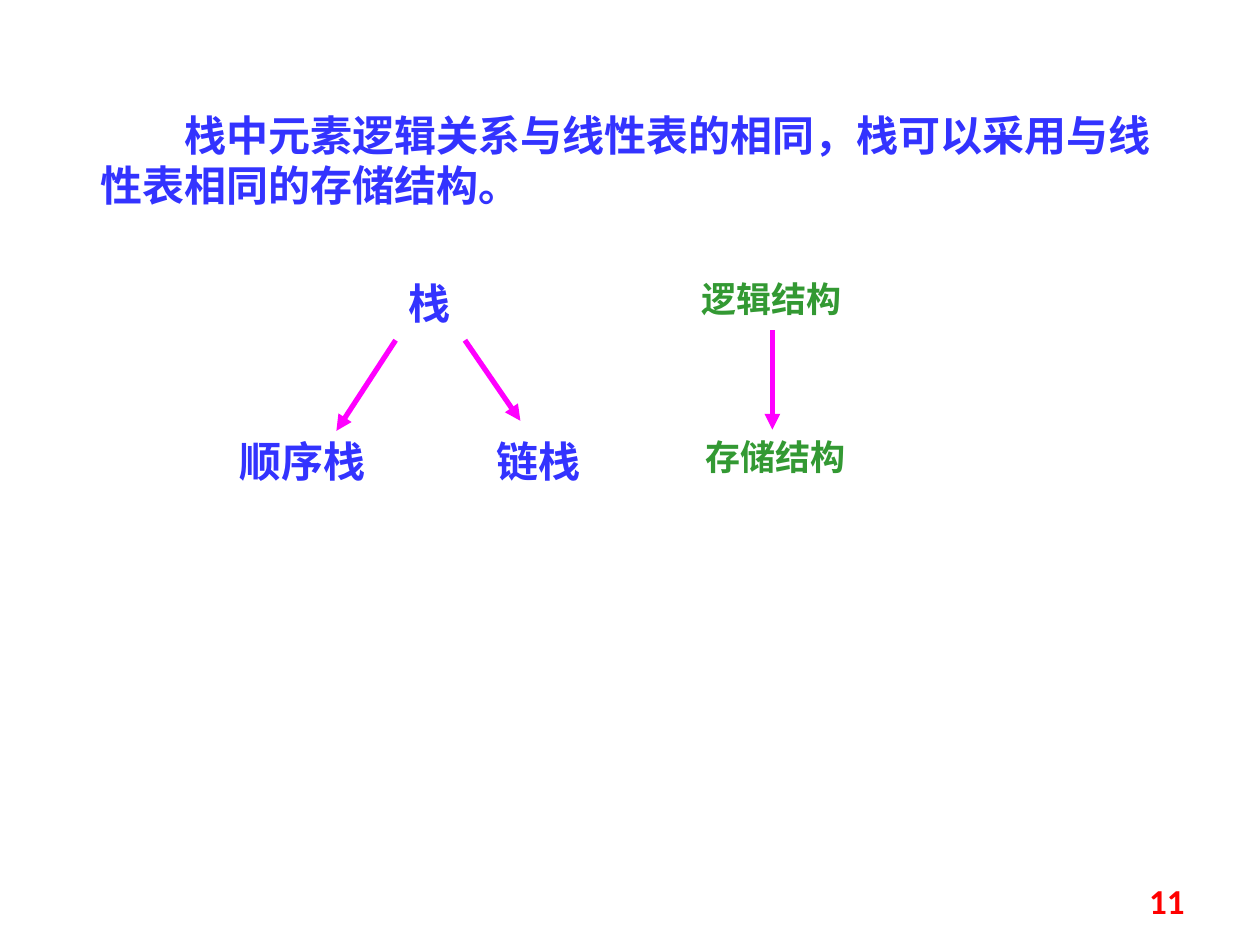
"""Build the slide on the logical and storage structures of a stack."""
from dataclasses import dataclass

from lxml.etree import SubElement as Sub
from pptx import Presentation
from pptx.dml.color import RGBColor as RGB
from pptx.enum.shapes import MSO_CONNECTOR as Conn
from pptx.enum.text import MSO_ANCHOR as Anchor, PP_ALIGN as Align
from pptx.oxml.ns import qn
from pptx.util import Inches, Pt


@dataclass(frozen=True)
class Theme:
    """Hold the slide's colours, type sizes, fonts and grid."""
    blue: RGB = RGB(0x33, 0x33, 0xFF)
    green: RGB = RGB(0x33, 0x99, 0x33)
    magenta: RGB = RGB(0xFF, 0x00, 0xFF)
    red: RGB = RGB(0xFF, 0x00, 0x00)
    body: int = 24
    small: int = 20
    line: int = 3
    font: str = "Times New Roman"
    number_font: str = "Calibri"
    cell: float = 0.1


T = Theme()
UPPER, LOWER = 21.5, 34.1


def grid(*cells):
    """Turn counts of grid columns and rows into lengths."""
    return [Inches(n * T.cell) for n in cells]


def add_text(s, text, col, row, cols, rows, *, size=T.body, color=T.blue,
             font=T.font, align=Align.LEFT, anchor=Anchor.TOP, indent=0):
    """Add a bold text box, with a first-line indent counted in characters."""
    tf = s.shapes.add_textbox(*grid(col, row, cols, rows)).text_frame
    tf.word_wrap = True
    tf.vertical_anchor = anchor
    p = tf.paragraphs[0]
    p.alignment = align
    if indent:
        p._p.get_or_add_pPr().set("indent", str(Pt(indent * size)))
    r = p.add_run()
    r.text = text
    r.font.name, r.font.size, r.font.bold = font, Pt(size), True
    r.font.color.rgb = color


def add_arrow(s, *ends):
    """Add a straight arrow between two grid points."""
    c = s.shapes.add_connector(Conn.STRAIGHT, *grid(*ends))
    c.line.color.rgb = T.magenta
    c.line.width = Pt(T.line)
    Sub(c.line._get_or_add_ln(), qn("a:tailEnd"), type="triangle")
    Sub(c._element.spPr, qn("a:effectLst"))


def add_stack_tree(s):
    """Add the stack and its two storage forms."""
    add_text(s, "栈", 29.8, UPPER, 8.5, 5, align=Align.CENTER)
    add_text(s, "顺序栈", 18, LOWER, 16.5, 5)
    add_text(s, "链栈", 38.4, LOWER, 11.8, 5)
    add_arrow(s, 31.4, 27, 26.7, 34.2)
    add_arrow(s, 36.9, 27, 41.3, 33.4)


def add_level_labels(s):
    """Add the labels that name the two levels of the tree."""
    label = {"size": T.small, "color": T.green}
    add_text(s, "逻辑结构", 54.7, UPPER, 14.8, 4.3, **label)
    add_text(s, "存储结构", 55, LOWER, 15.7, 4.3, **label)
    add_arrow(s, 61.3, 26.2, 61.3, LOWER)


def main():
    """Build and save the slide."""
    prs = Presentation()
    prs.slide_width, prs.slide_height = grid(100, 75)
    s = prs.slides.add_slide(prs.slide_layouts[6])
    add_text(s, "栈中元素逻辑关系与线性表的相同，栈可以采用与线性表相同的存储结构。",
             7, 8.2, 88.3, 9.1, indent=2)
    add_stack_tree(s)
    add_level_labels(s)
    add_text(s, "11", 71.7, 69.5, 23.3, 4, size=T.small, color=T.red,
             font=T.number_font, align=Align.RIGHT, anchor=Anchor.MIDDLE)
    prs.save("out.pptx")


if __name__ == "__main__":
    main()
